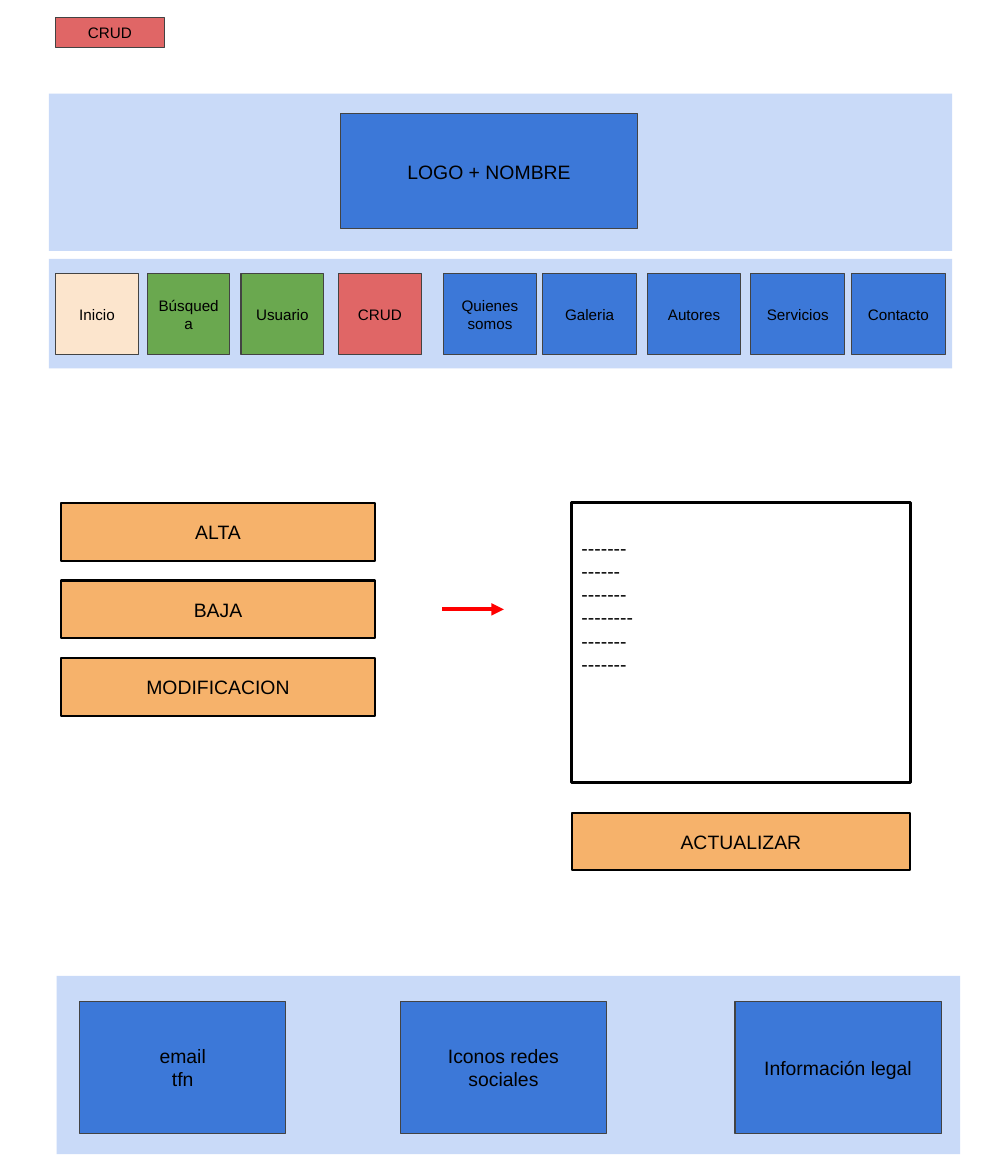
"""Build the wireframe slide of a CRUD page with header, menu, actions and footer."""
import pptx
import pptx.util
import pptx.dml.color
import pptx.enum.shapes
import pptx.enum.text
import pptx.oxml
import pptx.oxml.ns

PX = 9144
FONT = "Arial"
BLACK, GREY, RED = "000000", "434343", "FF0000"
BLUE, PALE, GREEN = "3C78D8", "C9DAF8", "6AA84F"
CORAL, CREAM, ORANGE = "E06666", "FCE5CD", "F6B26B"

TAG = ("CRUD", 56, 18, 109, 30)
BANDS = [(57, 980, 907, 179), (49, 94, 907, 158), (49, 260, 907, 110)]
LOGO = ("LOGO + NOMBRE", 342, 114, 298, 116)
MENU = [
    ("Inicio", 56, 83, CREAM),
    ("Búsqueda", 148, 83, GREEN),
    ("Usuario", 242, 83, GREEN),
    ("CRUD", 340, 83, CORAL),
    ("Quienes somos", 445, 94, BLUE),
    ("Galeria", 545, 94, BLUE),
    ("Autores", 650, 94, BLUE),
    ("Servicios", 754, 94, BLUE),
    ("Contacto", 855, 94, BLUE),
]
MENU_TOP, MENU_HEIGHT = 275, 81
ACTIONS = ["ALTA", "BAJA", "MODIFICACION"]
ACTION_LEFT, ACTION_TOP, ACTION_WIDTH, ACTION_STEP = 61, 505, 316, 78
BUTTON_HEIGHT = 58
ARROW = (444, 612, 506, 612)
PANEL = (574, 505, 340, 281)
PANEL_LINES = [7, 6, 7, 8, 7, 7]
PANEL_INSET = 33
UPDATE = ("ACTUALIZAR", 574, 816, 340, BUTTON_HEIGHT)
FOOTER = [("email\ntfn", 80), ("Iconos redes sociales", 402), ("Información legal", 738)]
FOOTER_TOP, FOOTER_WIDTH, FOOTER_HEIGHT = 1006, 207, 132


def colour(value):
    return pptx.dml.color.RGBColor.from_string(value)


def add_box(page, left, top, width, height, fill=None, line=None, weight=0.75):
    box = page.shapes.add_shape(
        pptx.enum.shapes.MSO_SHAPE.RECTANGLE, left * PX, top * PX, width * PX, height * PX)
    box.shadow.inherit = False
    if fill:
        box.fill.solid()
        box.fill.fore_color.rgb = colour(fill)
    else:
        box.fill.background()
    if line:
        box.line.color.rgb = colour(line)
        box.line.width = pptx.util.Pt(weight)
    else:
        box.line.fill.background()
    return box


def write(box, text, size=14, align="CENTER", anchor="MIDDLE", top_inset=10):
    frame = box.text_frame
    frame.word_wrap = True
    frame.vertical_anchor = getattr(pptx.enum.text.MSO_ANCHOR, anchor)
    frame.margin_left = frame.margin_right = frame.margin_bottom = 10 * PX
    frame.margin_top = top_inset * PX
    for index, words in enumerate(text.split("\n")):
        para = frame.add_paragraph() if index else frame.paragraphs[0]
        para.alignment = getattr(pptx.enum.text.PP_ALIGN, align)
        span = para.add_run()
        span.text = words
        span.font.name = FONT
        span.font.size = pptx.util.Pt(size)
        span.font.color.rgb = colour(BLACK)


def add_button(page, text, left, top, width, height):
    write(add_box(page, left, top, width, height, ORANGE, BLACK, 1.5), text)


def add_tile(page, text, left, top, width, height, fill=BLUE, size=14):
    write(add_box(page, left, top, width, height, fill, GREY), text, size)


def add_arrow(page, start_x, start_y, end_x, end_y):
    arrow = page.shapes.add_connector(
        pptx.enum.shapes.MSO_CONNECTOR.STRAIGHT,
        start_x * PX, start_y * PX, end_x * PX, end_y * PX)
    arrow.line.color.rgb = colour(RED)
    arrow.line.width = pptx.util.Pt(3)
    namespace = pptx.oxml.ns.nsdecls("a")
    arrow.line._get_or_add_ln().append(
        pptx.oxml.parse_xml(f'<a:tailEnd {namespace} type="triangle"/>'))
    arrow._element.spPr.append(pptx.oxml.parse_xml(f"<a:effectLst {namespace}/>"))


def main():
    deck = pptx.Presentation()
    deck.slide_width, deck.slide_height = 1000 * PX, 1181 * PX
    page = deck.slides.add_slide(deck.slide_layouts[6])

    for band in BANDS:
        add_box(page, *band, fill=PALE)
    add_tile(page, *TAG, fill=CORAL, size=11)
    add_tile(page, *LOGO)
    for text, left, width, fill in MENU:
        add_tile(page, text, left, MENU_TOP, width, MENU_HEIGHT, fill, 11)

    for index, text in enumerate(ACTIONS):
        top = ACTION_TOP + index * ACTION_STEP
        add_button(page, text, ACTION_LEFT, top, ACTION_WIDTH, BUTTON_HEIGHT)
    add_arrow(page, *ARROW)
    panel = add_box(page, *PANEL, line=BLACK, weight=2.25)
    dashes = "\n".join("-" * count for count in PANEL_LINES)
    write(panel, dashes, align="LEFT", anchor="TOP", top_inset=PANEL_INSET)
    add_button(page, *UPDATE)

    for text, left in FOOTER:
        add_tile(page, text, left, FOOTER_TOP, FOOTER_WIDTH, FOOTER_HEIGHT)
    deck.save("out.pptx")


if __name__ == "__main__":
    main()
